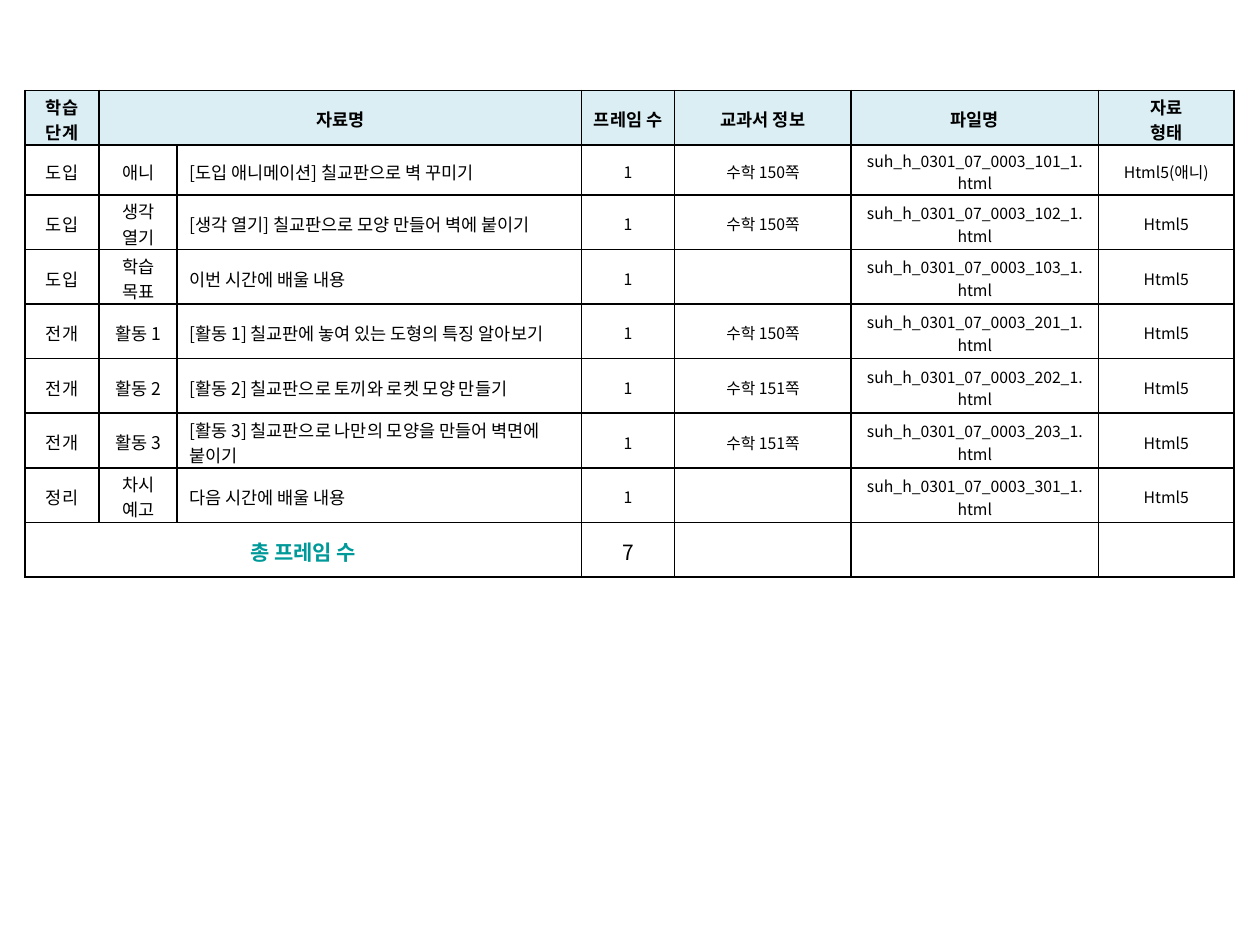
from lxml import etree
from pptx import Presentation
from pptx import util as u
from pptx.dml import color
from pptx.enum import text
from pptx.oxml import ns

COLORS = {"ink": "000000", "header": "DBEEF4", "total": "009999"}
FONT = "Noto Sans CJK KR"
CELL_FORMAT = {
    "margin_left": u.Cm(0.25),
    "margin_right": u.Cm(0.25),
    "margin_top": u.Cm(0.07),
    "margin_bottom": u.Cm(0),
    "vertical_anchor": text.MSO_ANCHOR.MIDDLE,
}
COLUMN_WIDTHS = [1.5, 1.57, 8.15, 1.88, 3.56, 4.98, 2.74]
ROW_HEIGHTS = [1.1, 1.01] + [1.1] * 7
HEADINGS = ["학습 단계", "자료명", "", "프레임 수", "교과서 정보", "파일명", "자료\n형태"]
LESSONS = [
    ("도입", "애니", "[도입 애니메이션] 칠교판으로 벽 꾸미기", "수학 150쪽", "101", "Html5(애니)"),
    ("도입", "생각 열기", "[생각 열기] 칠교판으로 모양 만들어 벽에 붙이기", "수학 150쪽", "102", "Html5"),
    ("도입", "학습 목표", "이번 시간에 배울 내용", "", "103", "Html5"),
    ("전개", "활동 1", "[활동 1] 칠교판에 놓여 있는 도형의 특징 알아보기", "수학 150쪽", "201", "Html5"),
    ("전개", "활동 2", "[활동 2] 칠교판으로 토끼와 로켓 모양 만들기", "수학 151쪽", "202", "Html5"),
    ("전개", "활동 3", "[활동 3] 칠교판으로 나만의 모양을 만들어 벽면에 붙이기", "수학 151쪽", "203", "Html5"),
    ("정리", "차시 예고", "다음 시간에 배울 내용", "", "301", "Html5"),
]


def apply_format(target, values):
    for name, value in values.items():
        setattr(target, name, value)


def draw_borders(cell):
    properties = cell._tc.get_or_add_tcPr()
    for side in ("a:lnL", "a:lnR", "a:lnT", "a:lnB"):
        border = etree.SubElement(properties, ns.qn(side), w=str(u.Pt(1)))
        fill = etree.SubElement(border, ns.qn("a:solidFill"))
        etree.SubElement(fill, ns.qn("a:srgbClr"), val=COLORS["ink"])


def fill_cell(cell, content, size, bold=False, ink="ink", background=None, align="CENTER"):
    apply_format(cell, CELL_FORMAT)
    draw_borders(cell)
    if background:
        cell.fill.solid()
        cell.fill.fore_color.rgb = color.RGBColor.from_string(COLORS[background])
    else:
        cell.fill.background()
    cell.text = content
    for paragraph in cell.text_frame.paragraphs:
        paragraph.alignment = text.PP_ALIGN[align]
        for run in paragraph.runs:
            apply_format(run.font, {"name": FONT, "size": u.Pt(size), "bold": bold})
            run.font.color.rgb = color.RGBColor.from_string(COLORS[ink])
            etree.SubElement(run.font._element, ns.qn("a:ea"), typeface=FONT)


def add_lesson_table(slide, left, top):
    lesson_table = slide.shapes.add_table(
        len(ROW_HEIGHTS), len(COLUMN_WIDTHS), u.Cm(left), u.Cm(top),
        u.Cm(sum(COLUMN_WIDTHS)), u.Cm(sum(ROW_HEIGHTS))).table
    apply_format(lesson_table, {"first_row": False, "horz_banding": False})
    for column, width in zip(lesson_table.columns, COLUMN_WIDTHS):
        column.width = u.Cm(width)
    for row, height in zip(lesson_table.rows, ROW_HEIGHTS):
        row.height = u.Cm(height)

    for column, heading in enumerate(HEADINGS):
        fill_cell(lesson_table.cell(0, column), heading, 10, bold=True, background="header")

    for row, (stage, part, title, pages, number, form) in enumerate(LESSONS, 1):
        file_name = f"suh_h_0301_07_0003_{number}_1.html"
        for column, content in enumerate((stage, part, title, "1", pages, file_name, form)):
            fill_cell(lesson_table.cell(row, column), content, 10 if column < 3 else 9,
                      align="LEFT" if column == 2 else "CENTER")

    total_row = len(ROW_HEIGHTS) - 1
    totals = ["총 프레임 수", "", "", str(len(LESSONS)), "", "", ""]
    for column, content in enumerate(totals):
        is_label = column == 0
        fill_cell(lesson_table.cell(total_row, column), content, 12, bold=is_label,
                  ink="total" if is_label else "ink")

    lesson_table.cell(0, 1).merge(lesson_table.cell(0, 2))
    lesson_table.cell(total_row, 0).merge(lesson_table.cell(total_row, 2))


def main():
    deck = Presentation()
    apply_format(deck, {"slide_width": u.Cm(25.4), "slide_height": u.Cm(19.05)})
    slide = deck.slides.add_slide(deck.slide_layouts[6])
    add_lesson_table(slide, 0.5, 1.82)
    deck.save("out.pptx")


if __name__ == "__main__":
    main()
